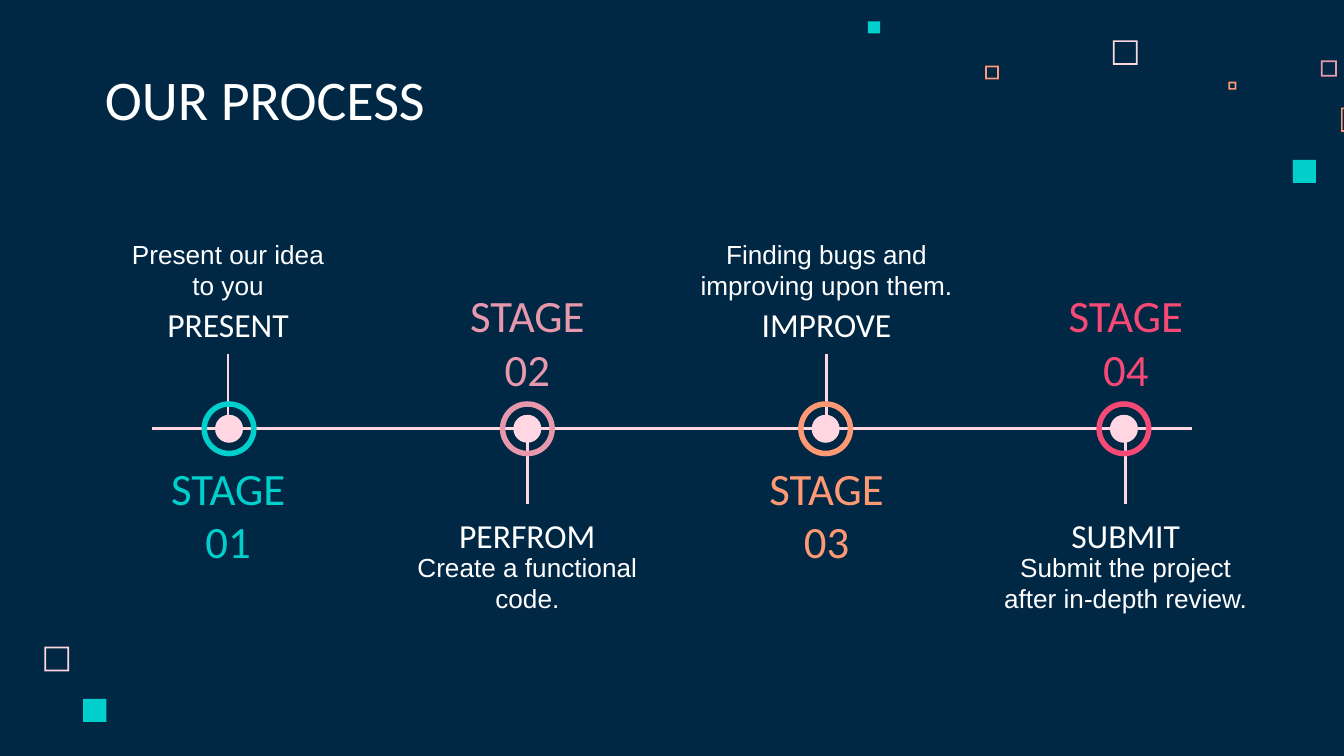
from lxml.etree import SubElement
from pptx import Presentation
from pptx.dml.color import RGBColor
from pptx.enum.shapes import MSO_CONNECTOR, MSO_SHAPE
from pptx.enum.text import MSO_ANCHOR as ANCHOR, MSO_AUTO_SIZE, PP_ALIGN as ALIGN
from pptx.oxml.ns import qn
from pptx.util import Pt

NAVY, WHITE, BLUSH, ROSE = "002845", "FFFFFF", "FFD6E1", "E898AC"
ORANGE, TEAL, PINK = "FF9973", "00CFCC", "F64975"

STAGES = [
    ("STAGE 01", TEAL, "PRESENT", ["Present our idea", "to you"], 148.3),
    ("STAGE 02", ROSE, "PERFROM", ["Create a functional code."], 166.3),
    ("STAGE 03", ORANGE, "IMPROVE", ["Finding bugs and improving upon them."], 166.3),
    ("STAGE 04", PINK, "SUBMIT", ["Submit the project after in-depth review."], 156.2),
]
HOLLOW_SQUARES = [
    (596.2, 21.6, 13.2, BLUSH), (707.6, 32.4, 8.6, ROSE), (658.1, 43.8, 4.3, ORANGE),
    (718.4, 57.6, 13, ORANGE), (527.8, 35.2, 7.3, ORANGE), (23.8, 346.5, 13.2, BLUSH),
]
SOLID_SQUARES = [(692.6, 85.6, 12.4, TEAL), (465, 11.4, 6.5, TEAL), (44.6, 374.4, 12.4, TEAL)]

FIRST_X, STEP = 122.2, 160.3
FIRST_RING_X, RING_STEP = 122.7, 159.8
AXIS_Y = 229.7
FRAME_WIDTH = 0.9


def color(value):
    return RGBColor.from_string(value)


def add_shape(kind, left, top, size, fill):
    shape = slide.shapes.add_shape(kind, Pt(left), Pt(top), Pt(size), Pt(size))
    shape.shadow.inherit = False
    shape.fill.solid()
    shape.fill.fore_color.rgb = color(fill)
    shape.line.fill.background()
    return shape


def add_line(x1, y1, x2, y2):
    line = slide.shapes.add_connector(MSO_CONNECTOR.STRAIGHT, Pt(x1), Pt(y1), Pt(x2), Pt(y2))
    line.line.color.rgb = color(BLUSH)
    line.line.width = Pt(1.5)
    SubElement(line._element.spPr, qn("a:effectLst"))


def write(shape, lines, size, font, fill, anchor, align):
    frame = shape.text_frame
    frame.word_wrap = True
    frame.auto_size = MSO_AUTO_SIZE.NONE
    frame.vertical_anchor = anchor
    frame.margin_left = frame.margin_right = Pt(7.2)
    frame.margin_top = frame.margin_bottom = Pt(7.2)
    for index, text in enumerate(lines):
        paragraph = frame.add_paragraph() if index else frame.paragraphs[0]
        paragraph.alignment = align
        run = paragraph.add_run()
        run.text = text
        run.font.size = Pt(size)
        run.font.name = font
        run.font.color.rgb = color(fill)


def add_label(center, top, width, height, lines, size, font, fill, anchor):
    box = slide.shapes.add_textbox(Pt(center - width / 2), Pt(top), Pt(width), Pt(height))
    write(box, lines, size, font, fill, anchor, ALIGN.CENTER)


presentation = Presentation()
presentation.slide_width, presentation.slide_height = Pt(720), Pt(405)
slide = presentation.slides.add_slide(presentation.slide_layouts[5])
slide.background.fill.solid()
slide.background.fill.fore_color.rgb = color(NAVY)

title = slide.shapes.title
title.left, title.top, title.width, title.height = Pt(49), Pt(32.4), Pt(372.2), Pt(45.4)
write(title, ["OUR PROCESS"], 30, "Calibri", WHITE, ANCHOR.BOTTOM, ALIGN.LEFT)

for left, top, size, fill in HOLLOW_SQUARES:
    square = add_shape(MSO_SHAPE.FRAME, left, top, size, fill)
    square.adjustments[0] = FRAME_WIDTH / size
for left, top, size, fill in SOLID_SQUARES:
    add_shape(MSO_SHAPE.RECTANGLE, left, top, size, fill)

add_line(81.4, AXIS_Y, 638.6, AXIS_Y)
for index, (stage, accent, heading, body, body_width) in enumerate(STAGES):
    center = FIRST_X + index * STEP
    ring_x = FIRST_RING_X + index * RING_STEP
    if index % 2 == 0:
        stem, stage_top, heading_top, body_top = (189.4, 225.4), 258.5, 155.5, 117.4
        heading_anchor, body_anchor = ANCHOR.TOP, ANCHOR.BOTTOM
    else:
        stem, stage_top, heading_top, body_top = (234.7, 270), 166.3, 270.7, 288
        heading_anchor, body_anchor = ANCHOR.BOTTOM, ANCHOR.TOP
    add_line(center, stem[0], center, stem[1])
    add_shape(MSO_SHAPE.OVAL, ring_x - 7.5, AXIS_Y - 7.5, 15, BLUSH)
    ring = add_shape(MSO_SHAPE.DONUT, ring_x - 14.75, AXIS_Y - 14.75, 29.5, accent)
    ring.adjustments[0] = 0.1
    add_label(center, heading_top, 148.3, 33.8, [heading], 18, "Calibri", WHITE, heading_anchor)
    add_label(center, body_top, body_width, 51.1, body, 14, "Arial", WHITE, body_anchor)
    add_label(center, stage_top, 101.5, 33.8, [stage], 24, "Calibri", accent, ANCHOR.MIDDLE)

presentation.save("out.pptx")
